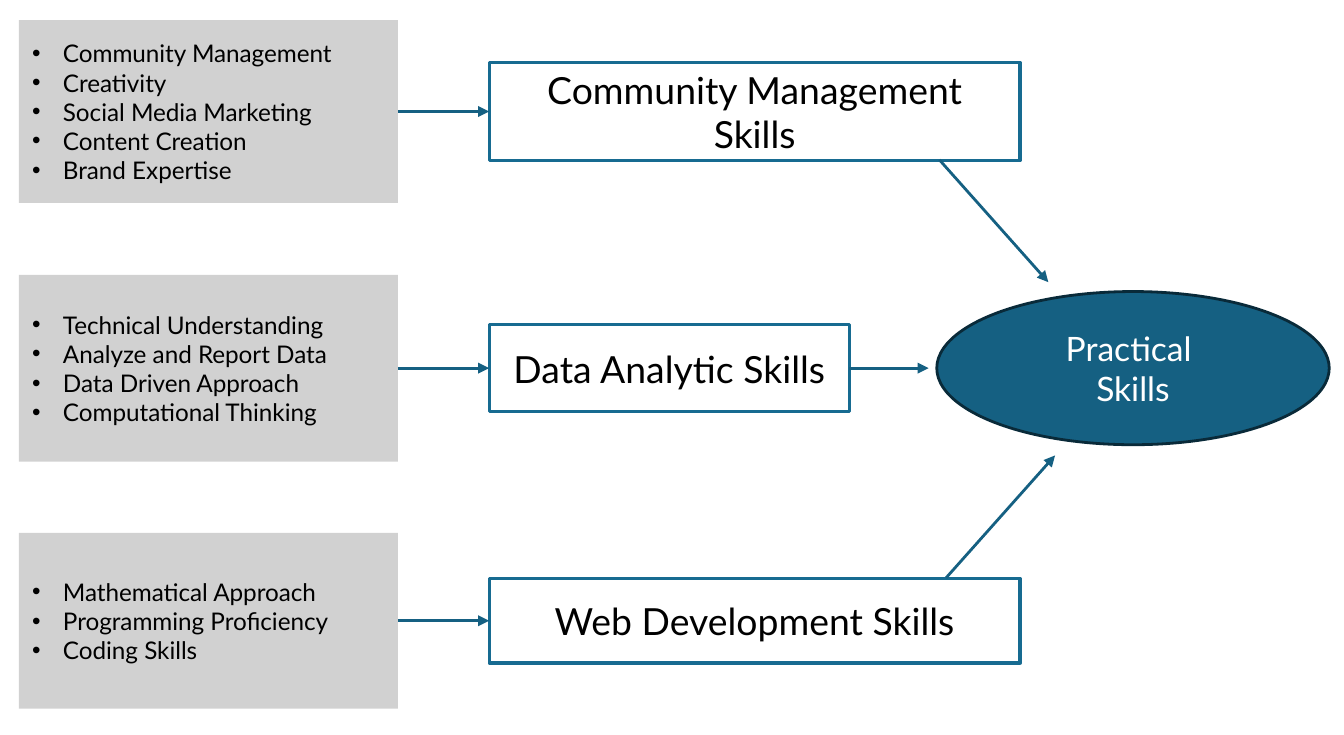
from lxml.etree import SubElement
from pptx import Presentation
from pptx.dml.color import RGBColor
from pptx.enum.shapes import MSO_CONNECTOR as Connector, MSO_SHAPE as Shape
from pptx.enum.text import MSO_ANCHOR as Anchor, PP_ALIGN as Align
from pptx.oxml.ns import qn
from pptx.util import Inches, Pt

FONT = "Lato"
COLORS = {
    "panel": "D1D1D1", "box": "FFFFFF", "box_line": "176B91",
    "goal": "156082", "goal_line": "092A39", "arrow": "156082",
    "dark": "000000", "light": "FFFFFF",
}

# Content: each row leads from a list of abilities to a skill area
ROWS = [
    {"skill": "Community Management Skills", "center": 0.83,
     "panel_height": 1.36, "box_size": (3.95, 0.73),
     "abilities": ["Community Management", "Creativity", "Social Media Marketing",
                   "Content Creation", "Brand Expertise"]},
    {"skill": "Data Analytic Skills", "center": 2.74,
     "panel_height": 1.39, "box_size": (2.68, 0.65),
     "abilities": ["Technical Understanding", "Analyze and Report Data",
                   "Data Driven Approach", "Computational Thinking"]},
    {"skill": "Web Development Skills", "center": 4.62,
     "panel_height": 1.31, "box_size": (3.95, 0.63),
     "abilities": ["Mathematical Approach", "Programming Proficiency", "Coding Skills"]},
]
GOAL = "Practical \vSkills"

# Columns, in inches
PANEL_LEFT, PANEL_WIDTH = 0.14, 2.82
BOX_LEFT = 3.64
GOAL_LEFT, GOAL_WIDTH, GOAL_HEIGHT = 6.97, 2.92, 1.14
BULLET_INDENT = 0.23

prs = Presentation()
prs.slide_width, prs.slide_height = Inches(10), Inches(5.47)
slide = prs.slides.add_slide(prs.slide_layouts[6])


def color(name):
    return RGBColor.from_string(COLORS[name])


def add_node(kind, left, center, width, height, text, fill, size, ink, outline=None):
    """Add a filled shape centred on a height; outline is (colour, points)."""
    node = slide.shapes.add_shape(kind, Inches(left), Inches(center - height / 2),
                                  Inches(width), Inches(height))
    node.shadow.inherit = False
    node.fill.solid()
    node.fill.fore_color.rgb = color(fill)
    if outline:
        node.line.color.rgb = color(outline[0])
        node.line.width = Pt(outline[1])
    else:
        node.line.fill.background()
    frame = node.text_frame
    frame.word_wrap = True
    frame.vertical_anchor = Anchor.MIDDLE
    frame.text = text
    for paragraph in frame.paragraphs:
        paragraph.alignment = Align.CENTER
        for run in paragraph.runs:
            run.font.name, run.font.size = FONT, Pt(size)
            run.font.color.rgb = color(ink)
    return node


def add_bullets(panel):
    for paragraph in panel.text_frame.paragraphs:
        paragraph.alignment = Align.LEFT
        props = paragraph._p.get_or_add_pPr()
        props.set("marL", str(Inches(BULLET_INDENT)))
        props.set("indent", str(-Inches(BULLET_INDENT)))
        SubElement(props, qn("a:buFont"), typeface="Arial")
        SubElement(props, qn("a:buChar"), char="•")


def add_arrow(start, end):
    arrow = slide.shapes.add_connector(Connector.STRAIGHT,
                                       *[Inches(value) for value in start + end])
    arrow.line.color.rgb = color("arrow")
    arrow.line.width = Pt(1.5)
    SubElement(arrow.line._get_or_add_ln(), qn("a:tailEnd"), type="triangle")
    SubElement(arrow._element.spPr, qn("a:effectLst"))
    return arrow


# Ability panels, skill boxes and the arrows between them
boxes = []
for row in ROWS:
    center = row["center"]
    panel = add_node(Shape.RECTANGLE, PANEL_LEFT, center, PANEL_WIDTH, row["panel_height"],
                     "\n".join(row["abilities"]), "panel", 13, "dark")
    add_bullets(panel)
    box = add_node(Shape.RECTANGLE, BOX_LEFT, center, *row["box_size"],
                   row["skill"], "box", 20, "dark", ("box_line", 1.75))
    boxes.append(box)
    arrow = add_arrow((PANEL_LEFT + PANEL_WIDTH, center), (BOX_LEFT, center))
    arrow.begin_connect(panel, 3)
    arrow.end_connect(box, 1)

# Shared goal
middle = ROWS[1]["center"]
add_node(Shape.OVAL, GOAL_LEFT, middle, GOAL_WIDTH, GOAL_HEIGHT,
         GOAL, "goal", 18, "light", ("goal_line", 1.5))

# Arrows from the skill boxes to the goal
add_arrow((6.99, 1.19), (7.8, 2.1))
add_arrow((BOX_LEFT + ROWS[1]["box_size"][0], middle), (6.91, middle)).begin_connect(boxes[1], 3)
add_arrow((7.04, 4.3), (7.85, 3.39))

prs.save("out.pptx")
